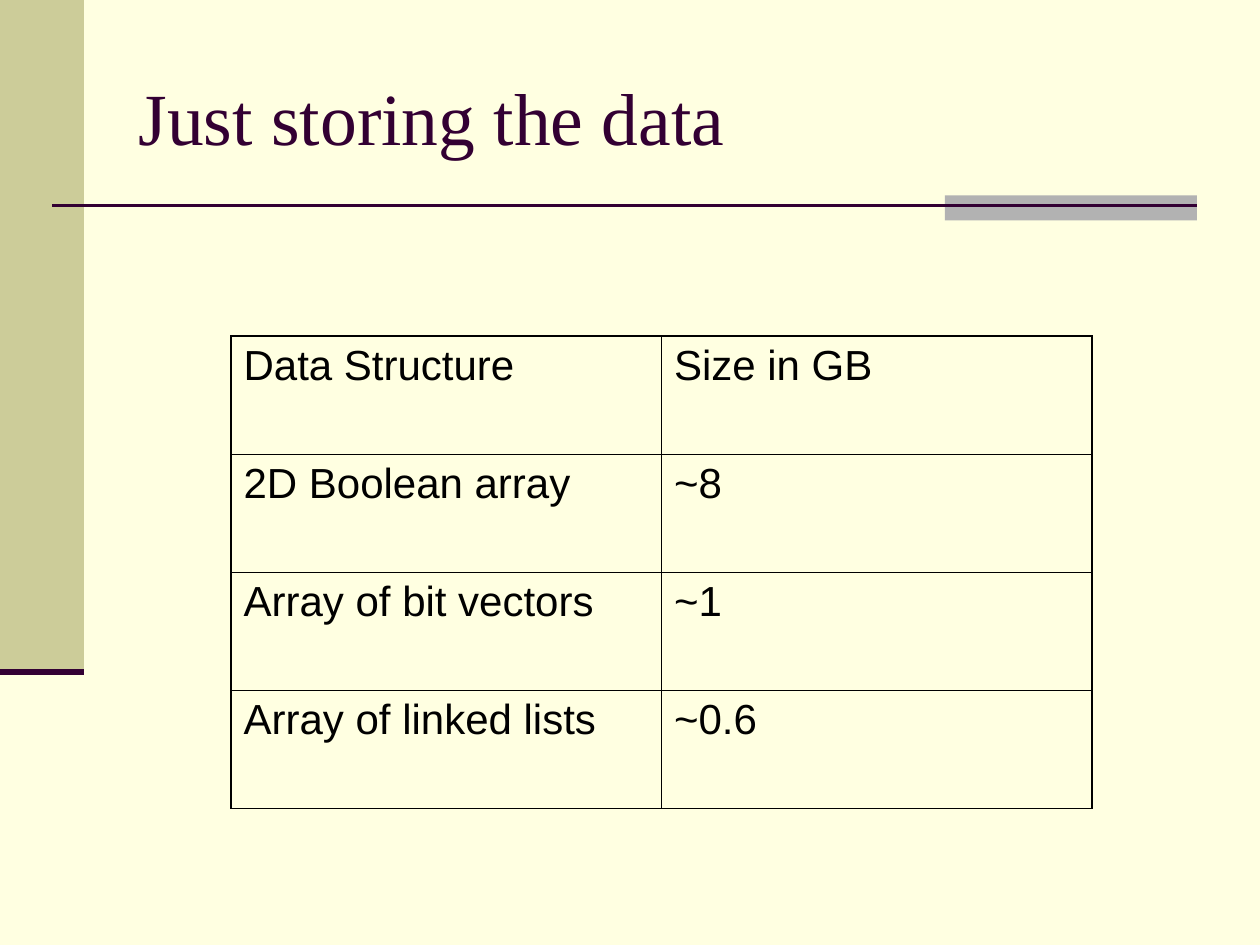
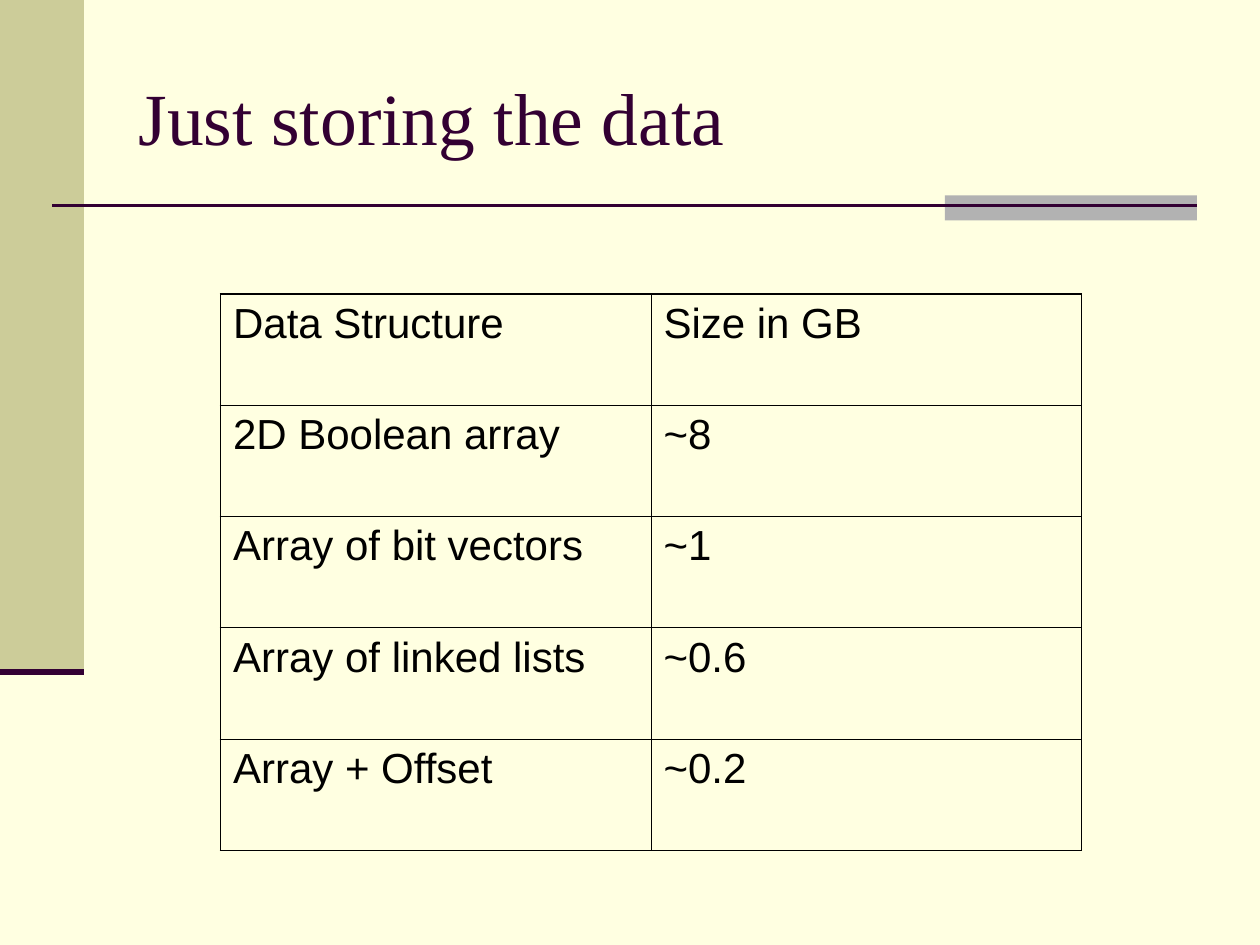
from dataclasses import dataclass

from lxml import etree
from pptx import Presentation
from pptx import util as u
from pptx.dml.color import RGBColor
from pptx.enum import shapes, text
from pptx.oxml import ns

CREAM = RGBColor(0xFF, 0xFF, 0xE1)
OLIVE = RGBColor(0xCC, 0xCC, 0x99)
GREY = RGBColor(0xB2, 0xB2, 0xB2)
PLUM = RGBColor(0x33, 0x00, 0x33)
BLACK = RGBColor(0x00, 0x00, 0x00)

TITLE_FONT, TABLE_FONT = "Times New Roman", "Arial"
CELL = u.Inches(1 / 12)
OUTER_BORDER, INNER_BORDER = u.Pt(1.08), u.Pt(0.45)


@dataclass(frozen=True)
class Area:
    """Position and size in grid cells of a twelfth of an inch."""
    column: float
    row: float
    columns: float
    rows: float

    def lengths(self) -> list[int]:
        return [round(n * CELL) for n in (self.column, self.row, self.columns, self.rows)]


@dataclass(frozen=True)
class Band:
    area: Area
    color: RGBColor


@dataclass(frozen=True)
class Rule:
    column: float
    row: float
    columns: float
    weight: float


@dataclass(frozen=True)
class TablePage:
    title: str
    area: Area
    records: list[tuple[str, str]]


TITLE_AREA = Area(12, 3.6, 102, 15)
BANDS = [Band(Area(0, 0, 8, 64), OLIVE), Band(Area(90, 18.6, 24, 2.4), GREY)]
RULES = [Rule(5, 19.6, 109, 1.5), Rule(0, 64, 8, 3.5)]

TITLE = "Just storing the data"
SIZES = [
    ("Data Structure", "Size in GB"),
    ("2D Boolean array", "~8"),
    ("Array of bit vectors", "~1"),
    ("Array of linked lists", "~0.6"),
]
PAGES = [
    TablePage(TITLE, Area(22, 32, 82, 45), SIZES),
    TablePage(TITLE, Area(21, 28, 82, 53), SIZES + [("Array + Offset", "~0.2")]),
]


def style_text(frame, font: str, size: float, color: RGBColor) -> None:
    """Give every run of a text frame one font, size and colour."""
    for para in frame.paragraphs:
        for span in para.runs:
            span.font.name = font
            span.font.size = u.Pt(size)
            span.font.bold = False
            span.font.color.rgb = color


def draw_band(page, band: Band) -> None:
    """Draw a plain filled rectangle."""
    box = page.shapes.add_shape(shapes.MSO_SHAPE.RECTANGLE, *band.area.lengths())
    box.shadow.inherit = False
    box.fill.solid()
    box.fill.fore_color.rgb = band.color
    box.line.fill.background()


def draw_rule(page, rule: Rule) -> None:
    """Draw a horizontal line."""
    left, top, width, _ = Area(rule.column, rule.row, rule.columns, 0).lengths()
    line = page.shapes.add_connector(
        shapes.MSO_CONNECTOR.STRAIGHT, left, top, left + width, top)
    line.line.color.rgb = PLUM
    line.line.width = u.Pt(rule.weight)
    etree.SubElement(line._element.spPr, ns.qn("a:effectLst"))


def draw_title(page, title: str) -> None:
    """Fill, place and format the title placeholder."""
    box = page.shapes.title
    box.left, box.top, box.width, box.height = TITLE_AREA.lengths()
    frame = box.text_frame
    frame.text = title
    frame.vertical_anchor = text.MSO_ANCHOR.MIDDLE
    frame.paragraphs[0].alignment = text.PP_ALIGN.LEFT
    style_text(frame, TITLE_FONT, 42, PLUM)


def set_borders(cell, outer_edges: dict[str, bool]) -> None:
    """Draw the four cell borders, heavier on the edges of the table."""
    properties = cell._tc.get_or_add_tcPr()
    for index, (side, is_outer) in enumerate(outer_edges.items()):
        border = etree.Element(ns.qn(f"a:ln{side}"))
        border.set("w", str(OUTER_BORDER if is_outer else INNER_BORDER))
        fill = etree.SubElement(border, ns.qn("a:solidFill"))
        etree.SubElement(fill, ns.qn("a:srgbClr")).set("val", str(BLACK))
        properties.insert(index, border)


def draw_table(page, area: Area, records: list[tuple[str, str]]) -> None:
    """Draw a ruled table with equal rows and columns."""
    last_row, last_column = len(records) - 1, len(records[0]) - 1
    table = page.shapes.add_table(
        len(records), len(records[0]), *area.lengths()).table
    table.first_row = table.horz_banding = False
    for row, record in enumerate(records):
        for column, words in enumerate(record):
            cell = table.cell(row, column)
            cell.text_frame.text = words
            cell.text_frame.paragraphs[0].space_before = u.Pt(6)
            style_text(cell.text_frame, TABLE_FONT, 24, BLACK)
            cell.fill.background()
            set_borders(cell, {"L": column == 0, "R": column == last_column,
                               "T": row == 0, "B": row == last_row})


def main() -> None:
    """Build the deck and save it."""
    deck = Presentation()
    deck.slide_width, deck.slide_height = 120 * CELL, 90 * CELL
    background = deck.slide_master.background.fill
    background.solid()
    background.fore_color.rgb = CREAM
    title_only = deck.slide_layouts.get_by_name("Title Only")
    for content in PAGES:
        page = deck.slides.add_slide(title_only)
        for band in BANDS:
            draw_band(page, band)
        for rule in RULES:
            draw_rule(page, rule)
        draw_title(page, content.title)
        draw_table(page, content.area, content.records)
    deck.save("out.pptx")


if __name__ == "__main__":
    main()
